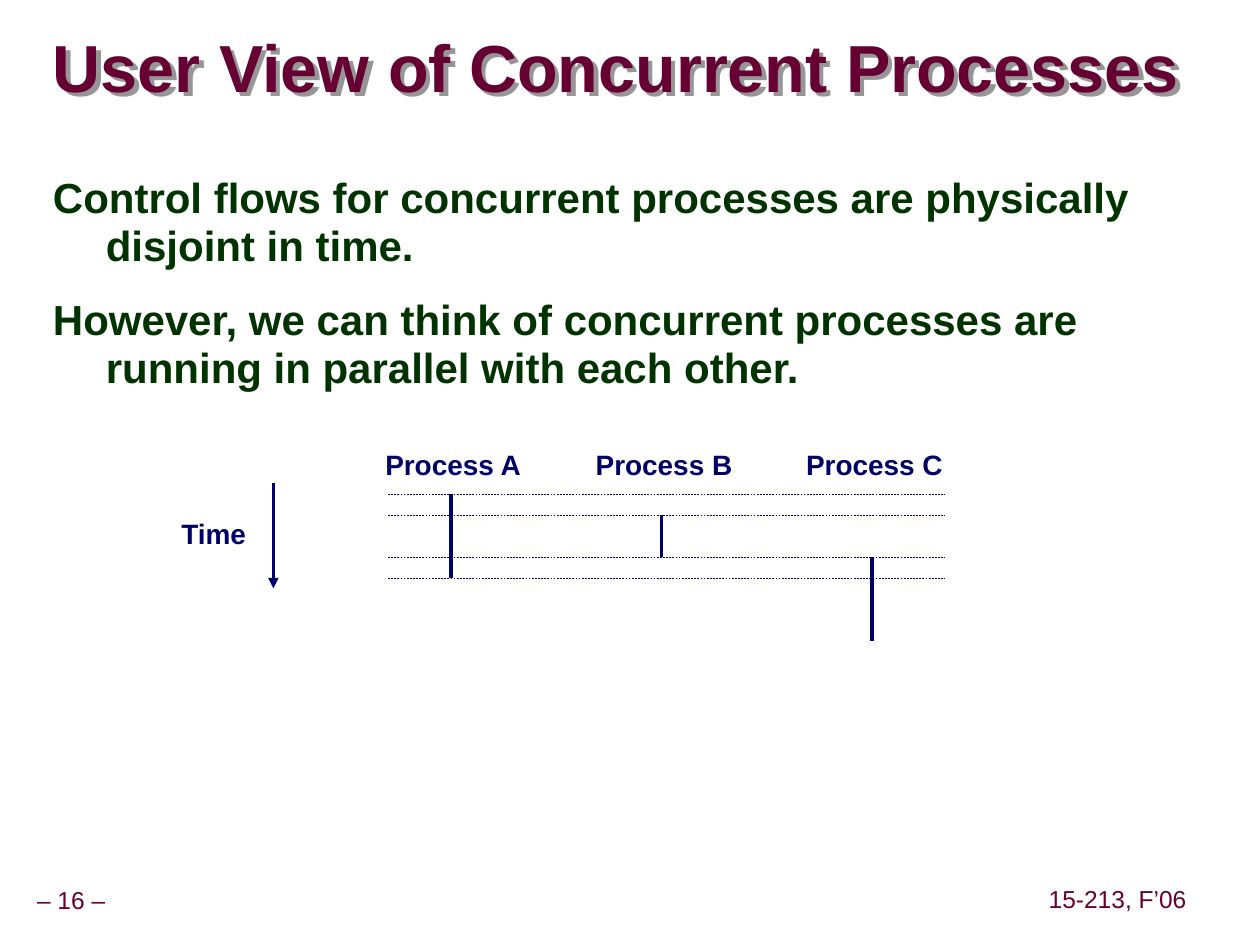
"""Build the slide on the user view of concurrent processes."""
from lxml.etree import SubElement
from pptx import Presentation
from pptx.dml.color import RGBColor
from pptx.enum.dml import MSO_LINE
from pptx.enum.shapes import MSO_CONNECTOR
from pptx.enum.text import MSO_ANCHOR, MSO_AUTO_SIZE, PP_ALIGN
from pptx.oxml import parse_xml
from pptx.oxml.ns import nsdecls, qn
from pptx.util import Inches, Pt

COLORS = {"title": "660033", "body": "003300", "diagram": "000066", "shadow": "969696"}
FONT = "Arial"
COLUMN_LEFT, COLUMN_STEP = 3.58, 1.67
START, STEP = 3.92, 1 / 6


def add_text(paragraph, text, size, color, bold=False):
    """Add one formatted run to a paragraph."""
    run = paragraph.add_run()
    run.text = text
    run.font.name = FONT
    run.font.size = Pt(size)
    run.font.bold = bold
    run.font.color.rgb = RGBColor.from_string(COLORS[color])


def place(shape, left, top, width, height):
    """Set the position and size of a shape in inches."""
    shape.left, shape.top = Inches(left), Inches(top)
    shape.width, shape.height = Inches(width), Inches(height)


def set_margins(frame, horizontal, vertical):
    """Set the inner margins of a text frame in inches."""
    frame.margin_left = frame.margin_right = Inches(horizontal)
    frame.margin_top = frame.margin_bottom = Inches(vertical)


def add_shadow(shape):
    """Cast a grey shadow from the text of an unfilled shape."""
    shape.fill.background()
    shape.line.fill.background()
    shape._element.spPr.append(parse_xml(
        f'<a:effectLst {nsdecls("a")}>'
        '<a:outerShdw dist="45000" dir="2700000" algn="ctr" rotWithShape="0">'
        f'<a:srgbClr val="{COLORS["shadow"]}"/></a:outerShdw></a:effectLst>'
    ))


def fill_title(shape, text):
    """Place the title and give its text a shadow."""
    place(shape, 0.42, 0.25, 9.25, 0.63)
    frame = shape.text_frame
    set_margins(frame, 0, 0)
    frame.auto_size = MSO_AUTO_SIZE.NONE
    frame.vertical_anchor = MSO_ANCHOR.MIDDLE
    paragraph = frame.paragraphs[0]
    paragraph.alignment = PP_ALIGN.LEFT
    paragraph.line_spacing = 0.87
    add_text(paragraph, text, 38, "title", True)
    add_shadow(shape)


def fill_body(shape, statements):
    """Place the body and write the statements with hanging indents."""
    place(shape, 0.32, 1.34, 9.09, 5.71)
    frame = shape.text_frame
    set_margins(frame, 0.1, 0.05)
    frame.auto_size = MSO_AUTO_SIZE.NONE
    for index, statement in enumerate(statements):
        paragraph = frame.add_paragraph() if index else frame.paragraphs[0]
        properties = paragraph._p.get_or_add_pPr()
        properties.set("marL", str(Inches(0.42)))
        properties.set("indent", str(-Inches(0.42)))
        SubElement(properties, qn("a:buNone"))
        paragraph.line_spacing = 0.95
        paragraph.space_before = Pt(15 if index else 0)
        add_text(paragraph, statement, 24, "body", True)


def add_box(slide, left, top, width, height):
    """Add a text box that grows with its unwrapped text."""
    box = slide.shapes.add_textbox(Inches(left), Inches(top), Inches(width), Inches(height))
    frame = box.text_frame
    frame.word_wrap = False
    frame.auto_size = MSO_AUTO_SIZE.SHAPE_TO_FIT_TEXT
    return frame


def add_label(slide, text, left, top, width):
    """Add a bold diagram label."""
    frame = add_box(slide, left, top, width, 0.37)
    add_text(frame.paragraphs[0], text, 16, "diagram", True)


def add_footer(slide, text, left, top, width):
    """Add a centred footer text."""
    frame = add_box(slide, left, top, width, 0.31)
    set_margins(frame, 0.05, 0.05)
    frame.vertical_anchor = MSO_ANCHOR.MIDDLE
    paragraph = frame.paragraphs[0]
    paragraph.alignment = PP_ALIGN.CENTER
    paragraph.line_spacing = 0.9
    add_text(paragraph, text, 14, "title")


def add_line(slide, start, end, width=2):
    """Add a straight line between two points in inches."""
    points = [Inches(value) for value in (*start, *end)]
    connector = slide.shapes.add_connector(MSO_CONNECTOR.STRAIGHT, *points)
    connector.line.color.rgb = RGBColor.from_string(COLORS["diagram"])
    connector.line.width = Pt(width)
    SubElement(connector._element.spPr, qn("a:effectLst"))
    return connector


def add_time_axis(slide):
    """Add the time arrow and its label."""
    arrow = add_line(slide, (2.17, 3.83), (2.17, 4.67))
    SubElement(arrow.line._get_or_add_ln(), qn("a:tailEnd"), type="triangle")
    add_label(slide, "Time", 1.34, 4.05, 0.71)


def add_timeline(slide):
    """Add the process columns with their running times and the dashed levels."""
    processes = [("A", [(0, 2), (2, 4)]), ("B", [(1, 3)]), ("C", [(3, 5), (5, 7)])]
    for column, (name, periods) in enumerate(processes):
        x = COLUMN_LEFT + column * COLUMN_STEP
        add_label(slide, f"Process {name}", x - 0.62, 3.5, 1.3)
        for first, last in periods:
            add_line(slide, (x, START + first * STEP), (x, START + last * STEP))
    for level in (0, 1, 3, 4):
        y = START + level * STEP
        add_line(slide, (3.08, y), (7.5, y), 0.25).line.dash_style = MSO_LINE.DASH


def main():
    """Build and save the presentation."""
    presentation = Presentation()
    presentation.slide_width, presentation.slide_height = Inches(10), Inches(7.5)
    slide = presentation.slides.add_slide(presentation.slide_layouts[1])
    fill_title(slide.shapes.title, "User View of Concurrent Processes")
    fill_body(slide.placeholders[1], [
        "Control flows for concurrent processes are physically disjoint in time.",
        "However, we can think of concurrent processes are running in parallel with each other.",
    ])
    add_time_axis(slide)
    add_timeline(slide)
    add_footer(slide, "– 16 –", -0.09, 7, 1.31)
    add_footer(slide, "15-213, F’06", 8.27, 6.99, 1.2)
    presentation.save("out.pptx")


if __name__ == "__main__":
    main()
